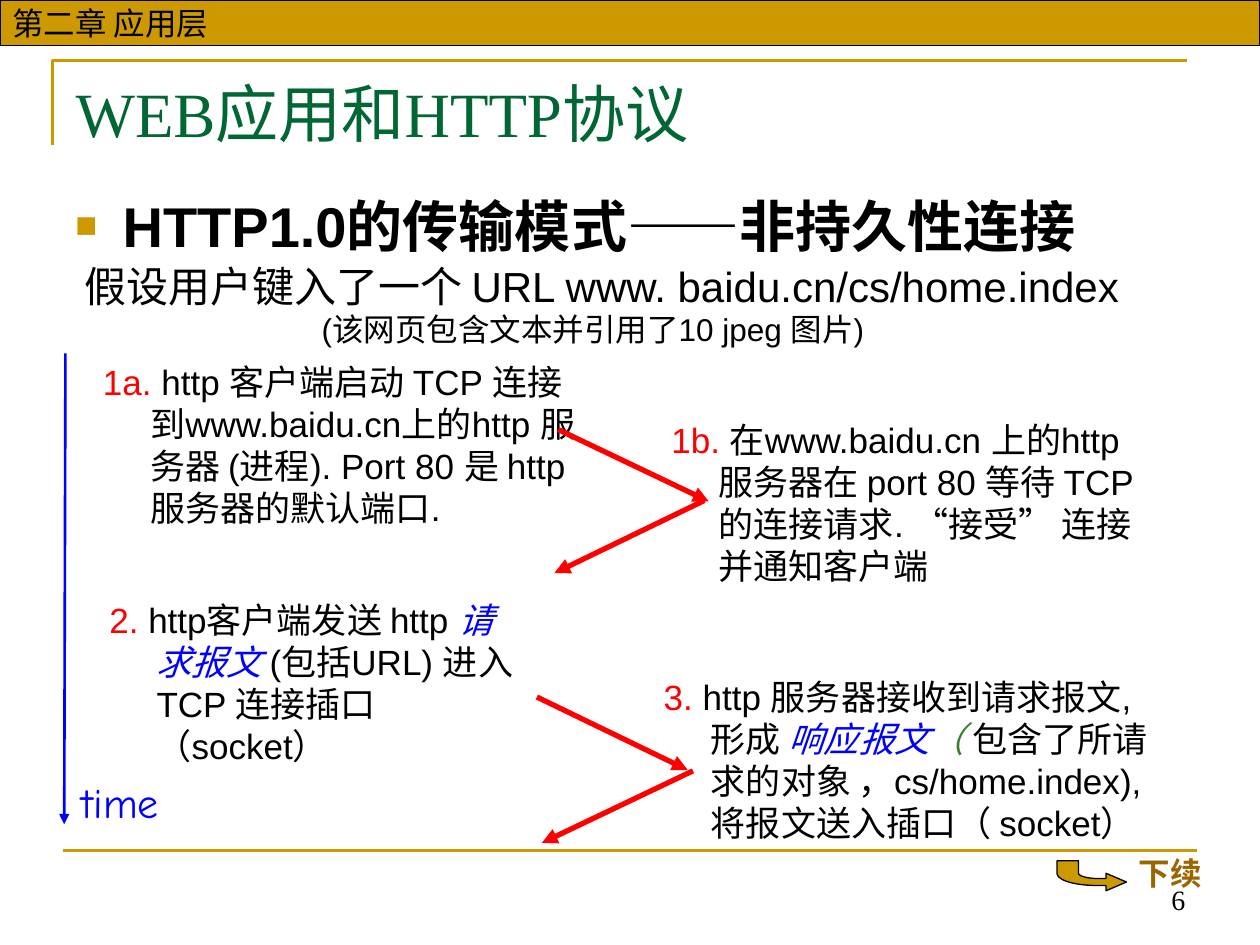
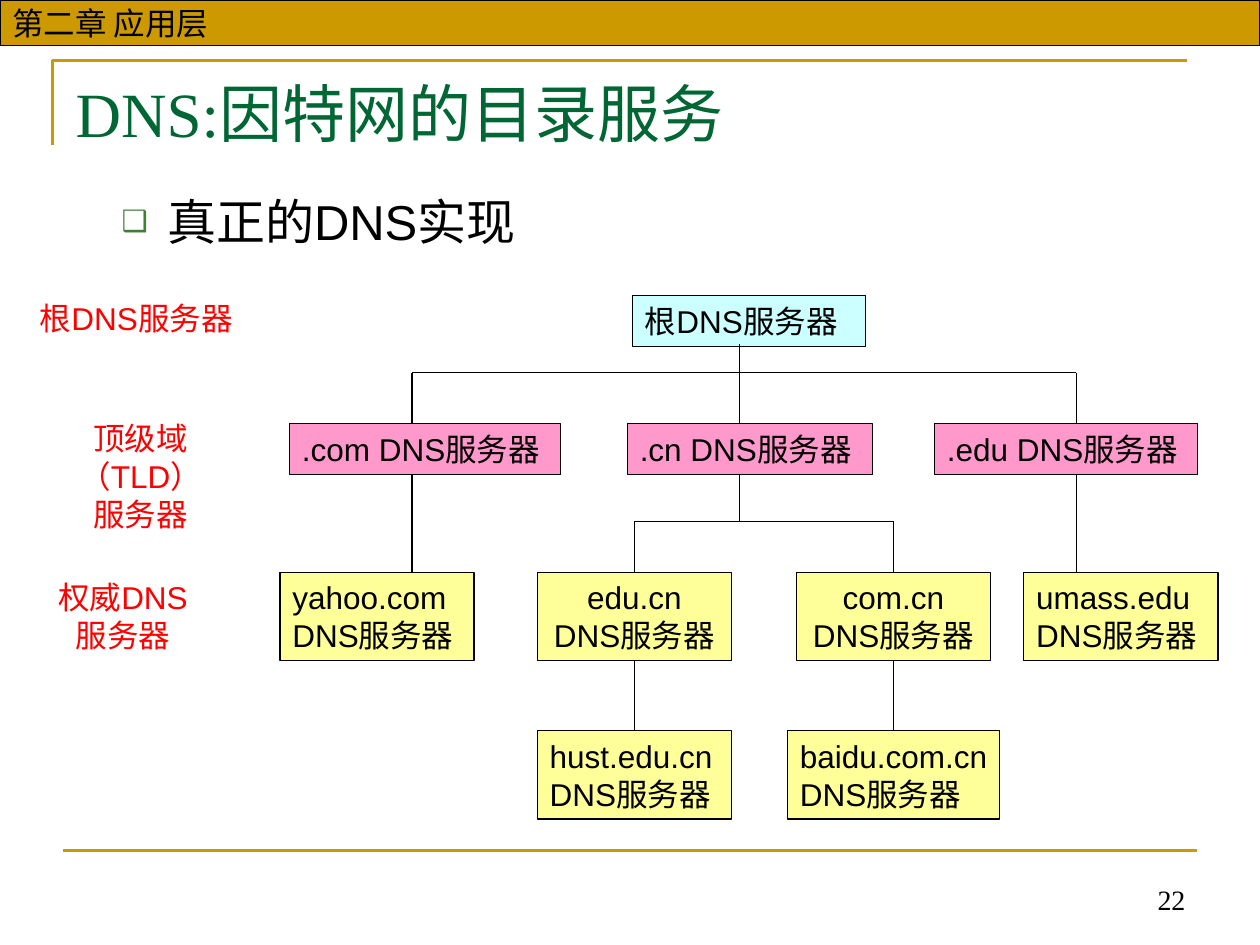
from lxml import etree
from pptx import Presentation
from pptx.dml.color import RGBColor
from pptx.enum.shapes import MSO_CONNECTOR, MSO_SHAPE
from pptx.enum.text import MSO_ANCHOR, MSO_AUTO_SIZE, PP_ALIGN
from pptx.oxml.ns import qn
from pptx.util import Pt

RECTANGLE = MSO_SHAPE.RECTANGLE
STRAIGHT = MSO_CONNECTOR.STRAIGHT
LEFT, CENTER, RIGHT = PP_ALIGN.LEFT, PP_ALIGN.CENTER, PP_ALIGN.RIGHT
TOP, MIDDLE, BOTTOM = MSO_ANCHOR.TOP, MSO_ANCHOR.MIDDLE, MSO_ANCHOR.BOTTOM
NO_AUTOSIZE = MSO_AUTO_SIZE.NONE

BLACK = RGBColor(0x00, 0x00, 0x00)
GOLD = RGBColor(0xCC, 0x99, 0x00)
BROWN = RGBColor(0x99, 0x66, 0x00)
TITLE_GREEN = RGBColor(0x00, 0x66, 0x33)
ACCENT_GREEN = RGBColor(0x3B, 0x81, 0x2F)
RED = RGBColor(0xFF, 0x00, 0x00)
BLUE = RGBColor(0x00, 0x00, 0xFF)
ROOT_CYAN = RGBColor(0xCC, 0xFF, 0xFF)
TLD_PINK = RGBColor(0xFF, 0x99, 0xCC)
HOST_YELLOW = RGBColor(0xFF, 0xFF, 0x99)

SANS, SERIF, COMIC = "Arial", "Times New Roman", "Comic Neue"
CHAPTER = "第二章 应用层"
SLIDE_WIDTH, SLIDE_HEIGHT = 720, 540
SITE_TOP, SITE_BOTTOM = 0, 2
STEP_INDENT = 27


def curve(start, control1, control2, end, steps=12):
    """Points along a cubic curve, without its start."""
    points = []
    for i in range(1, steps + 1):
        t = i / steps
        u = 1 - t
        weights = (u ** 3, 3 * u * u * t, 3 * u * t * t, t ** 3)
        corners = (start, control1, control2, end)
        points.append(tuple(sum(w * c[axis] for w, c in zip(weights, corners))
                            for axis in (0, 1)))
    return points


class Deck:
    """Holds the shared style and the slide being built."""

    def __init__(self):
        self.presentation = Presentation()
        self.presentation.slide_width = Pt(SLIDE_WIDTH)
        self.presentation.slide_height = Pt(SLIDE_HEIGHT)
        self.slide = None

    def start_slide(self, title, number):
        layout = self.presentation.slide_layouts[5]
        self.slide = self.presentation.slides.add_slide(layout)
        self.outline([(30.2, 82.8), (30.2, 34.6), (678.2, 34.6)], GOLD, 1.5)
        self.line((36, 486), (684, 486), GOLD, 1.5)
        self.box((0, 0, SLIDE_WIDTH, 26), [CHAPTER], GOLD, wrap=True, anchor=MIDDLE)

        heading = self.slide.shapes.title
        heading.left, heading.top, heading.width, heading.height = map(
            Pt, (36, 39, 648, 55.5))
        self.fill_frame(heading.text_frame, [title], 36, TITLE_GREEN, SERIF)
        self.text((456.5, 491, 228, 36), [str(number)], 16, font=SERIF,
                  align=RIGHT, anchor=BOTTOM)

    def fill_frame(self, frame, paragraphs, size, color, font=SANS,
                   align=LEFT, anchor=TOP, wrap=True):
        """Each paragraph is a string or a list of (text, overrides) runs."""
        frame.auto_size = NO_AUTOSIZE
        frame.word_wrap = wrap
        frame.vertical_anchor = anchor
        for i, content in enumerate(paragraphs):
            paragraph = frame.add_paragraph() if i else frame.paragraphs[0]
            paragraph.alignment = align
            runs = [(content, {})] if isinstance(content, str) else content
            for words, overrides in runs:
                run = paragraph.add_run()
                run.text = words
                run.font.size = Pt(size)
                run.font.name = overrides.get("font", font)
                run.font.color.rgb = overrides.get("color", color)
                run.font.bold = overrides.get("bold", False)
                run.font.italic = overrides.get("italic", False)

    def text(self, place, paragraphs, size, color=BLACK, hanging=0, **style):
        frame = self.slide.shapes.add_textbox(*map(Pt, place)).text_frame
        self.fill_frame(frame, paragraphs, size, color, **style)
        if hanging:
            self.indent(frame.paragraphs[0], hanging, hanging)
        return frame.paragraphs[0]

    def indent(self, paragraph, margin, hanging):
        properties = paragraph._p.get_or_add_pPr()
        properties.set("marL", str(Pt(margin)))
        properties.set("indent", str(-Pt(hanging)))
        return properties

    def bullet_text(self, place, content, size, symbol, color, percent,
                    margin, hanging):
        paragraph = self.text(place, [content], size)
        properties = self.indent(paragraph, margin, hanging)
        bullet_color = etree.SubElement(properties, qn("a:buClr"))
        etree.SubElement(bullet_color, qn("a:srgbClr"), val=str(color))
        etree.SubElement(properties, qn("a:buSzPct"), val=str(percent * 1000))
        etree.SubElement(properties, qn("a:buFont"), typeface=SANS)
        etree.SubElement(properties, qn("a:buChar"), char=symbol)

    def box(self, place, paragraphs, fill, wrap=False, **style):
        shape = self.slide.shapes.add_shape(RECTANGLE, *map(Pt, place))
        self.paint(shape, fill, BLACK, 0.75)
        self.fill_frame(shape.text_frame, paragraphs, 18, BLACK, wrap=wrap, **style)
        return shape

    def paint(self, shape, fill, line, width):
        shape.shadow.inherit = False
        if fill is None:
            shape.fill.background()
        else:
            shape.fill.solid()
            shape.fill.fore_color.rgb = fill
        shape.line.color.rgb = line
        shape.line.width = Pt(width)

    def outline(self, points, line, width, fill=None):
        """Freeform through the points, closed when it has a fill."""
        corners = [(Pt(x), Pt(y)) for x, y in points]
        builder = self.slide.shapes.build_freeform(*corners[0], scale=1.0)
        builder.add_line_segments(corners[1:], close=fill is not None)
        self.paint(builder.convert_to_shape(), fill, line, width)

    def line(self, start, end, color=BLACK, width=0.75, arrow=False,
             above=None, below=None):
        """Straight line, joined to the box above or below where given."""
        link = self.slide.shapes.add_connector(STRAIGHT, *map(Pt, start + end))
        if above is not None:
            link.begin_connect(above, SITE_BOTTOM)
        if below is not None:
            link.end_connect(below, SITE_TOP)
        link.line.color.rgb = color
        link.line.width = Pt(width)
        if arrow:
            etree.SubElement(link.line._get_or_add_ln(), qn("a:tailEnd"),
                             type="triangle")
        etree.SubElement(link._element.spPr, qn("a:effectLst"))


def build_http_slide(deck):
    deck.start_slide("WEB应用和HTTP协议", 6)
    deck.bullet_text((36, 106, 648, 374),
                     [("HTTP1.0的传输模式——非持久性连接", {"bold": True})],
                     32, "■", GOLD, 65, 27, 27)
    scenario = deck.text((41, 148.5, 679, 36.5),
                         ["假设用户键入了一个 URL www. baidu.cn/cs/home.index"],
                         24, hanging=27)
    scenario.line_spacing = 0.9
    deck.text((76.3, 173.5, 525, 29), ["(该网页包含文本并引用了10 jpeg 图片)"],
              18, align=CENTER)

    label = {"color": RED}
    message = {"color": BLUE, "italic": True}
    quote = {"font": COMIC}
    steps = [
        ((51.8, 202.5, 285.8, 112), [
            ("1a.", label),
            (" http 客户端启动 TCP 连接到www.baidu.cn上的http 服务器 (进程). "
             "Port 80 是 http 服务器的默认端口.", {})]),
        ((55.4, 338.5, 247.7, 85), [
            ("2.", label), (" http客户端发送 http ", {}), ("请求报文 ", message),
            ("(包括URL) 进入 TCP 连接插口（socket）", {})]),
        ((376.6, 235.5, 295.2, 96.5), [
            ("1b. ", label),
            ("在www.baidu.cn 上的http 服务器在 port 80 等待 TCP 的连接请求. ", {}),
            ("“", quote), ("接受", {}), ("”", quote), (" 连接并通知客户端", {})]),
        ((372.2, 382.5, 300.2, 142), [
            ("3.", label), (" http 服务器接收到请求报文, 形成 ", {}),
            ("响应报文", message),
            ("（", {"color": ACCENT_GREEN, "italic": True}),
            (" 包含了所请求的对象 ，cs/home.index), 将报文送入插口（ socket）", {})]),
    ]
    for place, runs in steps:
        deck.text(place, [runs], 20, hanging=STEP_INDENT)

    exchanges = [((319, 245.5), (405, 286.5)), ((402.5, 286), (316.8, 327.5)),
                 ((306.8, 398.3), (393, 440)), ((396, 440.5), (309.6, 481.7))]
    for sender, receiver in exchanges:
        deck.line(sender, receiver, RED, 3, arrow=True)

    deck.line((37.4, 202), (36.7, 471), BLUE, 1.5, arrow=True)
    deck.text((39.6, 440, 58.3, 36), ["time"], 24, BLUE, font=COMIC,
              align=CENTER, wrap=False)

    deck.text((643.7, 484.5, 56.2, 29), [[("下续", {"bold": True})]], 18, BROWN)
    outer = curve((627, 506), (614, 506), (604, 503), (604, 499))
    inner = curve((616.3, 499), (616.3, 500.5), (621.4, 502), (627, 502))
    deck.outline([(643.7, 504), (632, 509), (632, 506), (627, 506), *outer,
                  (604, 491.8), (616.3, 491.8), (616.3, 499), *inner,
                  (632, 502), (632, 499)], BLACK, 0.75, fill=GOLD)


def build_dns_slide(deck):
    deck.start_slide("DNS:因特网的目录服务", 22)
    deck.bullet_text((36, 106, 648, 51), "真正的DNS实现", 28, "❑", ACCENT_GREEN,
                     60, 52.5, 26)

    tld_top, host_top, leaf_top = 242, 327, 417.5
    row_height, host_height, host_width = 29, 50.5, 111
    server = "DNS服务器"

    deck.box((361.5, 169, 133, row_height), ["根" + server], ROOT_CYAN)
    for domain, left, width in ((".com", 165.5, 155), (".cn", 358.5, 140),
                                (".edu", 534, 150.5)):
        deck.box((left, tld_top, width, row_height), [f"{domain} {server}"], TLD_PINK)

    hosts = {}
    for host, left, top, width, align in (
            ("yahoo.com", 160, host_top, host_width, LEFT),
            ("umass.edu", 585, host_top, host_width, LEFT),
            ("edu.cn", 307, host_top, host_width, CENTER),
            ("com.cn", 455, host_top, host_width, CENTER),
            ("hust.edu.cn", 307, leaf_top, host_width, LEFT),
            ("baidu.com.cn", 450, leaf_top, 121, LEFT)):
        hosts[host] = deck.box((left, top, width, host_height), [host, server],
                               HOST_YELLOW, align=align)

    com_x, cn_x, edu_x = 235.5, 422.5, 615
    tld_bar, host_bar, tld_bottom = 213, 298, tld_top + row_height
    deck.line((cn_x, 196.5), (cn_x, tld_bar))
    deck.line((com_x, tld_bar), (edu_x, tld_bar))
    for x in (com_x, cn_x, edu_x):
        deck.line((x, tld_bar), (x, tld_top))
    for x in (com_x, edu_x):
        deck.line((x, tld_bottom), (x, host_top))

    edu_cn_x, com_cn_x = 362.5, 510.5
    deck.line((cn_x, tld_bottom), (cn_x, host_bar))
    deck.line((edu_cn_x, host_bar), (com_cn_x, host_bar))
    for x, parent, child in ((edu_cn_x, "edu.cn", "hust.edu.cn"),
                             (com_cn_x, "com.cn", "baidu.com.cn")):
        deck.line((x, host_bar), (x, host_top), below=hosts[parent])
        deck.line((x, host_top + host_height), (x, leaf_top),
                  above=hosts[parent], below=hosts[child])

    deck.text((15.8, 167.5, 133, row_height), ["根" + server], 18, RED, wrap=False)
    deck.text((19.5, 236, 121.7, 72), ["顶级域（TLD）", "服务器"], 18, RED,
              align=CENTER)
    deck.text((23.8, host_top, 93, host_height), ["权威DNS", "服务器"], 18, RED,
              align=CENTER, wrap=False)


def main():
    deck = Deck()
    build_http_slide(deck)
    build_dns_slide(deck)
    deck.presentation.save("out.pptx")


if __name__ == "__main__":
    main()
